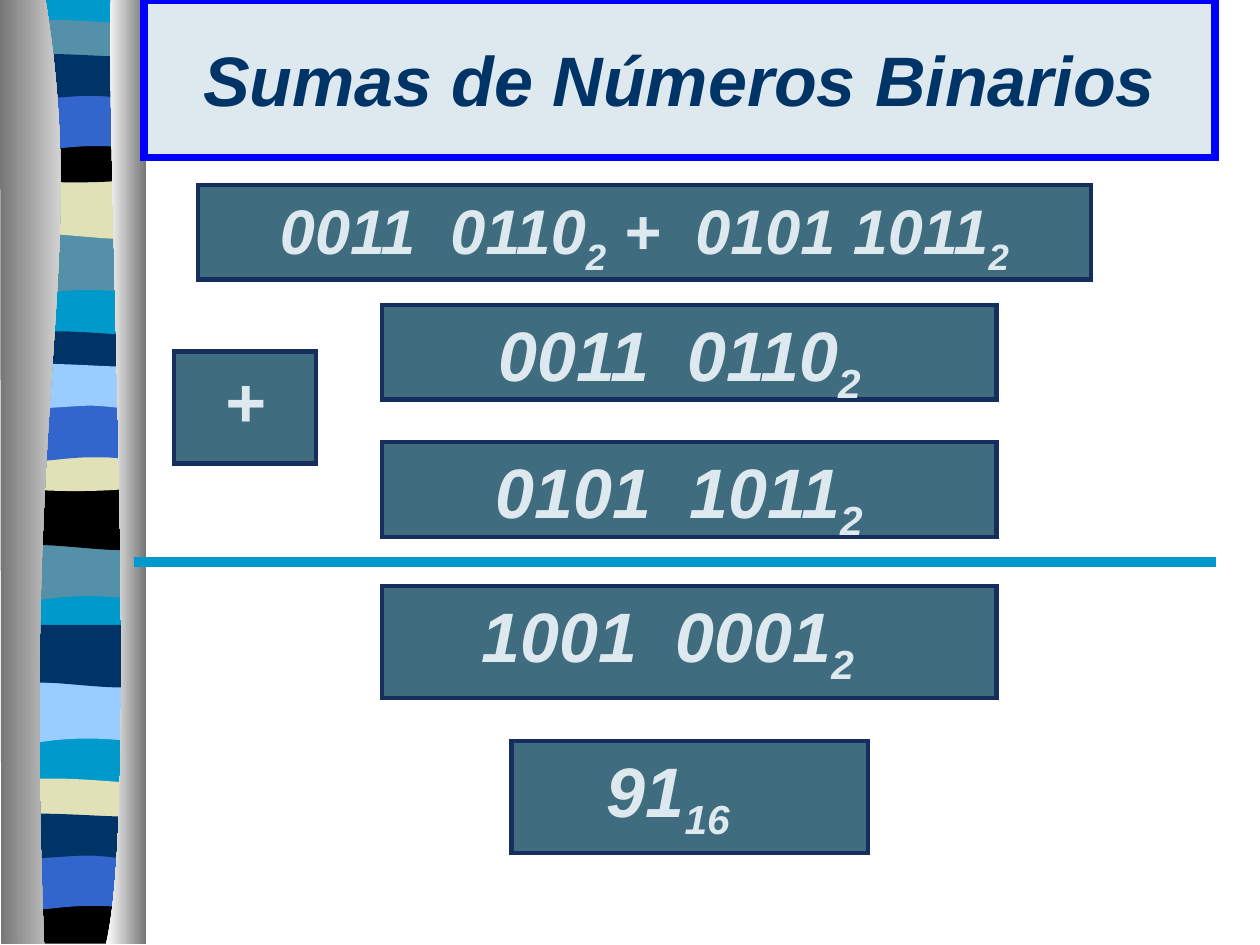
import pptx
import pptx.dml.color
import pptx.enum.shapes
import pptx.enum.text
import pptx.oxml
import pptx.oxml.ns
import pptx.util

COLUMNS, ROWS = 100, 75
CELL = pptx.util.Inches(0.1)
FONT = "Arial"
NAVY, SKY, TEAL, PALE = "003366", "0099CC", "5490A8", "DDE9EE"
SAND, BLUE, LIGHT, BLACK = "E1E1B7", "3366CC", "99CCFF", "000000"
SILVER, WHITE = "767676", "FFFFFF"
BAND_WIDTH = 10.6

# Outlines: x as a share of the band width, y in rows below the band's top.
# A step with one point is a straight side, with three points a curve.
BANDS = {
    "tail": [[(1, 0)], [(1, 4.7)], [(0.31, 3.8), (0.17, 5.4), (0, 4.7)], [(0, 0)]],
    "wave": [[(1, 0)], [(1, 4.7)], [(0.83, 5.5), (0.3, 4.1), (0, 4.7)], [(0, 0)]],
    "bow": [[(1, 0.5)], [(1, 3)], [(0.83, 3.4), (0.17, 3.4), (0, 3)], [(0, 0.5)],
            [(0.07, 0), (0.23, 0.1), (0.38, 0.1)],
            [(0.55, 0.1), (0.87, 0.4), (1, 0.5)]],
    "cup": [[(1, 0)], [(1, 3.3)], [(0.83, 3.8), (0.17, 3.8), (0, 3.3)], [(0, 0)],
            [(0.62, 0.5), (0.79, 0), (1, 0)]],
    "arch": [[(1, 0)], [(1, 4.7)], [(0.84, 4.2), (0.78, 4.2), (0.61, 4.2)],
             [(0.44, 4.2), (0.15, 4.7), (0, 4.7)], [(0, 0)]],
    "roll": [[(1, 0.5)], [(1, 3.6)], [(0.93, 4.1), (0.78, 3.6), (0.61, 3.6)],
             [(0.44, 3.6), (0.1, 4.1), (0, 3.6)], [(0, 0.5)],
             [(0.14, 0), (0.68, 0.5), (0.85, 0.5)]],
    "foot": [[(1, 0)], [(1, 3.7)], [(0, 3.7)], [(0, 0)],
             [(0.62, 0.5), (0.79, 0), (1, 0)]],
    "base": [[(1, 0)], [(1, 74.8)], [(0, 74.8)], [(0, 0)]],
}
# kind, left column, top row, colour
RIBBON = [
    ("base", 0.8, -0.1, SKY),
    ("tail", 0.7, 18.6, TEAL), ("wave", 0.8, 14, SAND), ("bow", 0.8, 1.5, TEAL),
    ("cup", 0.7, 10.8, BLACK), ("arch", 0.8, 7.4, BLUE), ("roll", 0.8, 4, NAVY),
    ("tail", 0.6, 42.9, TEAL), ("wave", 0.7, 38.7, BLACK), ("bow", 0.7, 26.2, NAVY),
    ("cup", 0.7, 35.3, SAND), ("arch", 0.7, 32.1, BLUE), ("roll", 0.7, 28.6, LIGHT),
    ("tail", 0.5, 54.2, LIGHT), ("wave", 0.6, 49.6, NAVY), ("bow", 0.6, 61.7, SAND),
    ("foot", 0.6, 71.2, BLACK), ("arch", 0.5, 67.7, BLUE), ("roll", 0.5, 64.3, NAVY),
]
LEFT_EDGE = [[(3.6, -0.1)], [(7.1, 21.6), (1.7, 29.6), (3.5, 74.9)],
             [(0.1, 74.9)], [(0, -0.1)]]
RIGHT_EDGE = [[(8.8, -0.1)], [(8.4, 12.5), (11.1, 64.6), (8.4, 74.9)],
              [(11.6, 74.9)], [(11.6, 0)]]

# left, top, width, height, extra right inset, size, (text, is subscript) spans
PANELS = [
    (15.7, 14.7, 70.9, 7.5, 0, 36,
     [("0011  0110", False), ("2", True), (" +  0101 1011", False), ("2", True)]),
    (30.3, 24.2, 48.8, 7.5, 1.5, 40, [("0011  0110", False), ("2", True)]),
    (40.6, 58.8, 28.3, 8.9, 3.4, 40, [("91", False), ("16", True)]),
    (30.3, 35.1, 48.8, 7.5, 1.6, 40, [("0101  1011", False), ("2", True)]),
    (30.3, 46.5, 48.8, 8.9, 3.4, 40, [("1001  0001", False), ("2", True)]),
    (13.8, 27.9, 11.3, 8.9, 0, 40, [("+", False)]),
]


def cells(count):
    return pptx.util.Emu(round(count * CELL))


def colour(value):
    return pptx.dml.color.RGBColor.from_string(value)


def apply(target, values):
    for name, value in values.items():
        setattr(target, name, value)


def drawing_element(tag):
    return pptx.oxml.parse_xml(
        f'<a:{tag} xmlns:a="http://schemas.openxmlformats.org/drawingml/2006/main"/>')


def bend_sides(shape, steps):
    """Join the three points of each curved step into one cubic curve."""
    sides = iter(list(shape._element.iter(pptx.oxml.ns.qn("a:lnTo"))))
    for step in steps[1:]:
        group = [next(sides) for _ in step]
        if len(group) == 3:
            curve = drawing_element("cubicBezTo")
            group[0].addprevious(curve)
            for side in group:
                curve.append(side[0])
                side.getparent().remove(side)


def add_outline(page, steps, left=0, top=0, width=1):
    points = [(cells(left + width * x), cells(top + y)) for step in steps for x, y in step]
    builder = page.shapes.build_freeform(*points[0], scale=1.0)
    builder.add_line_segments(points[1:], close=True)
    shape = builder.convert_to_shape()
    bend_sides(shape, steps)
    shape.shadow.inherit = False
    shape.line.fill.background()
    return shape


def add_band(page, kind, left, top, fill):
    shape = add_outline(page, BANDS[kind], left, top, BAND_WIDTH)
    shape.fill.solid()
    shape.fill.fore_color.rgb = colour(fill)


def add_silver_edge(page, steps, start, end):
    fill = add_outline(page, steps).fill
    fill.gradient()
    fill.gradient_angle = 0
    for stop, value in zip(fill.gradient_stops, (start, end)):
        stop.color.rgb = colour(value)


def add_panel(page, area, fill, border, weight, frame_format):
    """Add a bordered rectangle and return its paragraph."""
    box = page.shapes.add_shape(pptx.enum.shapes.MSO_SHAPE.RECTANGLE, *map(cells, area))
    box.shadow.inherit = False
    box.fill.solid()
    box.fill.fore_color.rgb = colour(fill)
    box.line.color.rgb = colour(border)
    box.line.width = pptx.util.Pt(weight)
    corner = drawing_element("miter")
    corner.set("lim", "800000")
    box.line._get_or_add_ln().append(corner)
    apply(box.text_frame, {"word_wrap": True, **frame_format})
    para = box.text_frame.paragraphs[0]
    para.alignment = pptx.enum.text.PP_ALIGN.CENTER
    return para


def add_span(para, text, size, ink, subscript=False):
    span = para.add_run()
    span.text = text
    apply(span.font, {"name": FONT, "size": pptx.util.Pt(size), "bold": True, "italic": True})
    span.font.color.rgb = colour(ink)
    if subscript:
        span.font._element.set("baseline", "-25000")


def add_number(page, left, top, width, height, extra, size, spans):
    para = add_panel(page, (left, top, width, height), "3F6C7E", "162E5D", 2.5, {
        "vertical_anchor": pptx.enum.text.MSO_ANCHOR.TOP,
        "margin_right": cells(1 + extra)})
    para.space_before = pptx.util.Pt(size / 4)
    for text, subscript in spans:
        add_span(para, text, size, PALE, subscript)


def add_rule(page, left, right, row):
    rule = page.shapes.add_connector(pptx.enum.shapes.MSO_CONNECTOR.STRAIGHT,
                                     cells(left), cells(row), cells(right), cells(row))
    rule.line.color.rgb = colour(SKY)
    rule.line.width = pptx.util.Pt(6)
    rule._element.spPr.append(drawing_element("effectLst"))


def main():
    deck = pptx.Presentation()
    apply(deck, {"slide_width": cells(COLUMNS), "slide_height": cells(ROWS)})
    page = deck.slides.add_slide(deck.slide_layouts[6])
    for band in RIBBON:
        add_band(page, *band)
    add_silver_edge(page, LEFT_EDGE, SILVER, WHITE)
    add_silver_edge(page, RIGHT_EDGE, WHITE, SILVER)
    title = add_panel(page, (11.4, 0, 85, 12.5), PALE, "0000FF", 4.5,
                      {"vertical_anchor": pptx.enum.text.MSO_ANCHOR.MIDDLE})
    add_span(title, "Sumas de Números Binarios", 40, NAVY)
    for panel in PANELS:
        add_number(page, *panel)
    add_rule(page, 10.6, 96.5, 44.6)
    deck.save("out.pptx")


if __name__ == "__main__":
    main()
